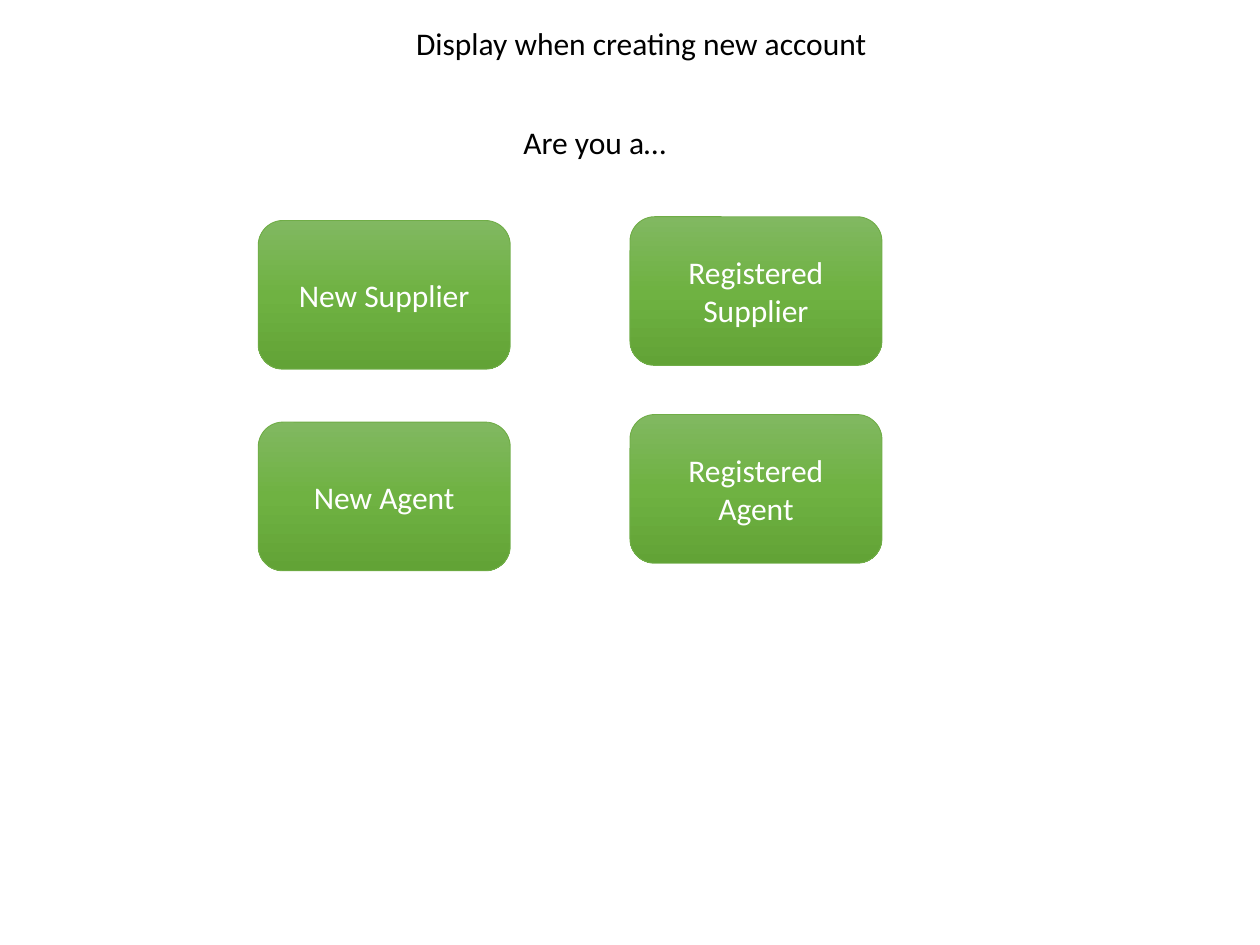
"""Build a slide asking new account holders to choose their role."""
import copy

import pptx
import pptx.dml.color
import pptx.enum.shapes
import pptx.enum.text
import pptx.util

Inches = pptx.util.Inches

COLORS = {
    "text": "000000",
    "button_text": "FFFFFF",
    "button_line": "70AD47",
    "gradient_top": "81B861",
    "gradient_middle": "6FB242",
    "gradient_bottom": "62A336",
}
GRADIENT = [(0, "gradient_top"), (0.5, "gradient_middle"), (1, "gradient_bottom")]
BUTTON_WIDTH, BUTTON_HEIGHT = 2, 1.18
BUTTONS = [
    ("New Supplier", 2.05, 1.75),
    ("New Agent", 2.05, 3.35),
    ("Registered Supplier", 5, 1.72),
    ("Registered Agent", 5, 3.29),
]


def rgb(name):
    """Return the named colour."""
    return pptx.dml.color.RGBColor.from_string(COLORS[name])


def write_text(shape, text, color, anchor):
    """Put centred text in a shape."""
    frame = shape.text_frame
    frame.text = text
    frame.word_wrap = True
    frame.vertical_anchor = anchor
    paragraph = frame.paragraphs[0]
    paragraph.alignment = pptx.enum.text.PP_ALIGN.CENTER
    paragraph.font.name = "Calibri"
    paragraph.font.size = pptx.util.Pt(18)
    paragraph.font.color.rgb = rgb(color)


def write_heading(shape, text, left, top, width):
    """Place a one-line heading."""
    shape.left, shape.top = Inches(left), Inches(top)
    shape.width, shape.height = Inches(width), Inches(0.4)
    write_text(shape, text, "text", pptx.enum.text.MSO_ANCHOR.TOP)
    shape.text_frame.auto_size = pptx.enum.text.MSO_AUTO_SIZE.SHAPE_TO_FIT_TEXT


def fill_gradient(shape):
    """Fill a shape with the vertical green gradient."""
    shape.fill.gradient()
    shape.fill.gradient_angle = 270
    stop_list = shape.element.xpath(".//a:gsLst")[0]
    stop_list.insert(1, copy.deepcopy(stop_list[0]))
    for stop, (position, color) in zip(shape.fill.gradient_stops, GRADIENT):
        stop.position = position
        stop.color.rgb = rgb(color)


def add_button(slide, text, left, top):
    """Add a rounded green button."""
    shape = slide.shapes.add_shape(
        pptx.enum.shapes.MSO_SHAPE.ROUNDED_RECTANGLE,
        Inches(left), Inches(top), Inches(BUTTON_WIDTH), Inches(BUTTON_HEIGHT),
    )
    shape.shadow.inherit = False
    fill_gradient(shape)
    shape.line.color.rgb = rgb("button_line")
    shape.line.width = pptx.util.Pt(0.5)
    write_text(shape, text, "button_text", pptx.enum.text.MSO_ANCHOR.MIDDLE)


def main():
    """Create and save the presentation."""
    presentation = pptx.Presentation()
    presentation.slide_width, presentation.slide_height = Inches(10), Inches(7.5)
    slide = presentation.slides.add_slide(presentation.slide_layouts[5])
    write_heading(slide.shapes.title, "Display when creating new account", 2.05, 0.14, 6.08)
    question = slide.shapes.add_textbox(0, 0, 0, 0)
    write_heading(question, "Are you a…", 2.61, 0.93, 4.22)
    for text, left, top in BUTTONS:
        add_button(slide, text, left, top)
    presentation.save("out.pptx")


if __name__ == "__main__":
    main()
